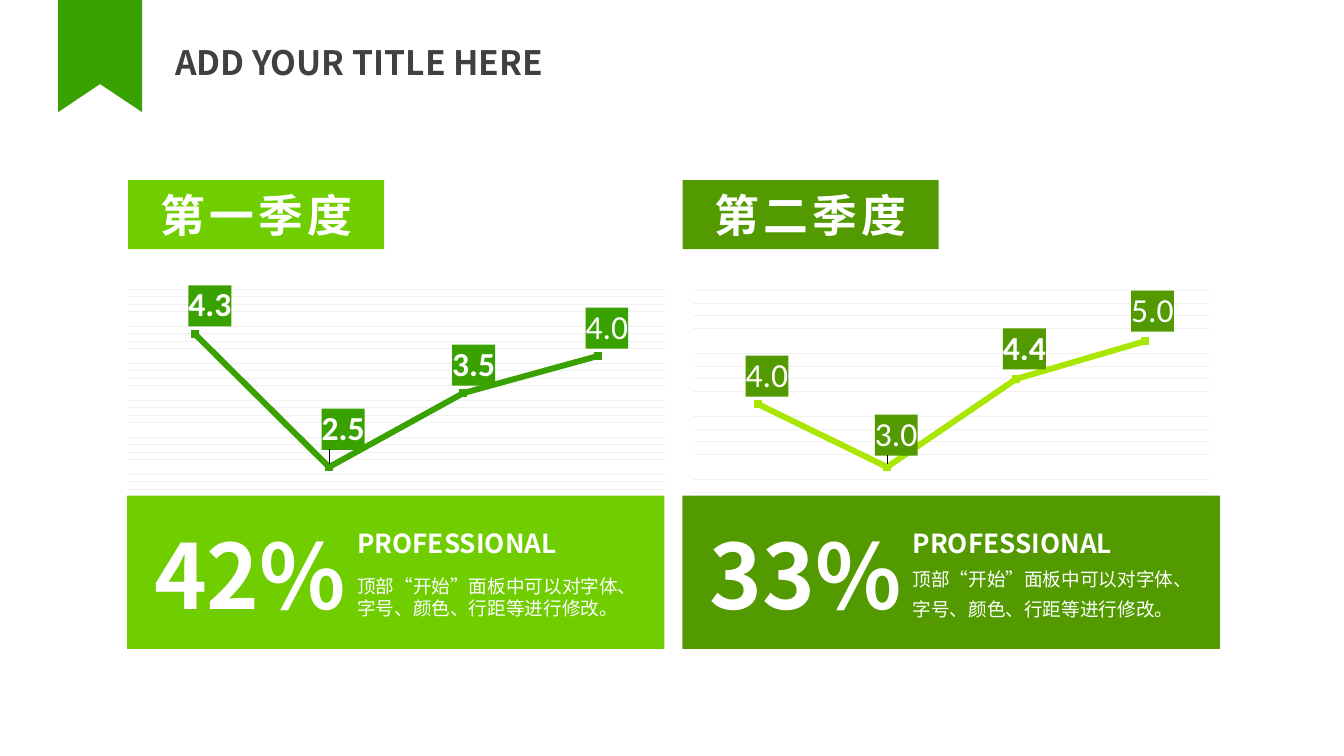
"""Build a slide comparing two quarters with line charts and captions."""
import lxml.etree
import pptx
import pptx.chart.data
import pptx.dml.color
import pptx.enum.chart
import pptx.enum.shapes
import pptx.enum.text
import pptx.oxml
import pptx.oxml.ns
import pptx.util

EMU_PER_PX = 9080
FONT = "Noto Sans CJK SC"
CHART_FONT = "Calibri"
RGBColor = pptx.dml.color.RGBColor
GREEN = RGBColor(0x3A, 0xA2, 0x00)
LIGHT_GREEN = RGBColor(0x6F, 0xCD, 0x00)
DARK_GREEN = RGBColor(0x53, 0x9A, 0x00)
LIME = RGBColor(0xA9, 0xE6, 0x00)
GRID = RGBColor(0xF0, 0xF0, 0xF0)
GRAY = RGBColor(0x40, 0x40, 0x40)
WHITE = RGBColor(0xFF, 0xFF, 0xFF)
BODY = "顶部“开始”面板中可以对字体、字号、颜色、行距等进行修改。"
CHART_WIDTH, CHART_HEIGHT = 538, 393

QUARTERS = [
    {
        "left": 127, "name": "第一季度", "tag_left": 128, "color": LIGHT_GREEN,
        "percent": "42%", "body_box": (569, 78), "body_spacing": pptx.util.Pt(16),
        "values": (4.3, 2.5, 3.5, 4.0), "bold": (True, True, True, False),
        "line": GREEN, "label_fill": GREEN, "maximum": 5, "major": 0.5,
        "plot": (0, 0.03, 1, 0.94),
        "shifts": ((15, 0), (14, -10), (10, 0), (9, 0)),
    },
    {
        "left": 682, "name": "第二季度", "tag_left": 682, "color": DARK_GREEN,
        "percent": "33%", "body_box": (556, 99), "body_spacing": 1.3,
        "values": (4.0, 3.0, 4.4, 5.0), "bold": (False, False, True, False),
        "line": LIME, "label_fill": DARK_GREEN, "maximum": 6, "major": 1,
        "plot": (0.02, 0.02, 0.96, 0.96),
        "shifts": ((9, 0), (9, -4), (8, -2), (7, -2)),
    },
]


def px(*lengths):
    """Convert pixel lengths to EMU."""
    return [pptx.util.Emu(length * EMU_PER_PX) for length in lengths]


def format_text(text_frame, size, color, bold=False, tracking=None):
    """Format every run of a text frame."""
    for paragraph in text_frame.paragraphs:
        for run in paragraph.runs:
            run.font.size = pptx.util.Pt(size)
            run.font.bold = bold
            run.font.name = FONT
            run.font.color.rgb = color
            properties = run.font._element
            east_asian = lxml.etree.SubElement(properties, pptx.oxml.ns.qn("a:ea"))
            east_asian.set("typeface", FONT)
            if tracking:
                properties.set("spc", str(tracking * 100))


def paint(shape, color):
    """Give a shape a plain fill without outline or shadow."""
    shape.shadow.inherit = False
    shape.fill.solid()
    shape.fill.fore_color.rgb = color
    shape.line.fill.background()


def add_ribbon(slide):
    """Draw the notched ribbon at the top edge."""
    builder = slide.shapes.build_freeform(58, 0, scale=EMU_PER_PX)
    builder.add_line_segments([(142, 0), (142, 112), (100, 84), (58, 112)])
    paint(builder.convert_to_shape(), GREEN)


def add_box(slide, bounds, color):
    """Add a filled rectangle."""
    shape = slide.shapes.add_shape(
        pptx.enum.shapes.MSO_SHAPE.RECTANGLE, *px(*bounds))
    paint(shape, color)
    return shape


def add_text(slide, bounds, text, size, color=WHITE, bold=True, wrap=False):
    """Add a text box and return its text frame."""
    text_frame = slide.shapes.add_textbox(*px(*bounds)).text_frame
    text_frame.word_wrap = wrap
    text_frame.auto_size = pptx.enum.text.MSO_AUTO_SIZE.SHAPE_TO_FIT_TEXT
    text_frame.text = text
    format_text(text_frame, size, color, bold)
    return text_frame


def add_title(slide):
    """Add the slide title."""
    text_frame = add_text(
        slide, (165, 30, 419, 69), "ADD YOUR TITLE HERE", 24, GRAY, wrap=True)
    text_frame.auto_size = pptx.enum.text.MSO_AUTO_SIZE.NONE
    text_frame.vertical_anchor = pptx.enum.text.MSO_ANCHOR.MIDDLE
    text_frame.paragraphs[0].line_spacing = 0.9
    text_frame.paragraphs[0].space_before = pptx.util.Pt(10)


def add_tag(slide, bounds, text, color):
    """Add a quarter heading."""
    text_frame = add_box(slide, bounds, color).text_frame
    text_frame.text = text
    text_frame.vertical_anchor = pptx.enum.text.MSO_ANCHOR.MIDDLE
    text_frame.paragraphs[0].alignment = pptx.enum.text.PP_ALIGN.CENTER
    format_text(text_frame, 32, WHITE, True, tracking=3)


def make_layout(**settings):
    """Build a manual chart layout element."""
    children = "".join(
        f'<c:{name} val="{value}"/>' for name, value in settings.items())
    return pptx.oxml.parse_xml(
        f'<c:layout {pptx.oxml.ns.nsdecls("c")}>'
        f"<c:manualLayout>{children}</c:manualLayout></c:layout>")


def set_plot_layout(chart, plot):
    """Fix the inner plot area as fractions of the chart."""
    area = chart._chartSpace.xpath("c:chart/c:plotArea")[0]
    for layout in area.xpath("c:layout"):
        area.remove(layout)
    left, top, width, height = plot
    area.insert(0, make_layout(
        layoutTarget="inner", xMode="edge", yMode="edge",
        x=left, y=top, w=width, h=height))


def style_axes(chart, maximum, major):
    """Hide the axes and keep only minor gridlines."""
    chart.category_axis.visible = False
    axis = chart.value_axis
    axis.visible = False
    axis.minimum_scale, axis.maximum_scale = 0, maximum
    axis.major_unit, axis.minor_unit = major, major / 5
    axis.has_major_gridlines = False
    axis.has_minor_gridlines = True
    gridlines = axis._element.xpath("c:minorGridlines")[0]
    gridlines.append(pptx.oxml.parse_xml(
        f'<c:spPr {pptx.oxml.ns.nsdecls("c", "a")}><a:ln w="9525"><a:solidFill>'
        f'<a:srgbClr val="{GRID}"/></a:solidFill></a:ln></c:spPr>'))


def style_label_font(font, bold):
    """Format the font of data labels."""
    font.size = pptx.util.Pt(24)
    font.bold = bold
    font.name = CHART_FONT
    font.color.rgb = WHITE


def label_points(series, quarter):
    """Place a filled value label near each point."""
    above = pptx.enum.chart.XL_LABEL_POSITION.ABOVE
    labels = series.data_labels
    labels.show_value = True
    labels.number_format = "0.0"
    labels.number_format_is_linked = False
    labels.position = above
    style_label_font(labels.font, True)
    for index, bold in enumerate(quarter["bold"]):
        label = series.points[index].data_label
        style_label_font(label.font, bold)
        label.position = above
    namespaces = pptx.oxml.ns.nsdecls("c", "a")
    elements = series._element.xpath("c:dLbls/c:dLbl")
    for element, (right, down) in zip(elements, quarter["shifts"]):
        for old in element.xpath("c:layout | c:numFmt | c:spPr"):
            element.remove(old)
        element.insert(1, make_layout(
            x=round(right / CHART_WIDTH, 3), y=round(down / CHART_HEIGHT, 3)))
        element.insert(2, pptx.oxml.parse_xml(
            f'<c:numFmt {namespaces} formatCode="0.0" sourceLinked="0"/>'))
        element.insert(3, pptx.oxml.parse_xml(
            f"<c:spPr {namespaces}><a:solidFill>"
            f'<a:srgbClr val="{quarter["label_fill"]}"/>'
            "</a:solidFill></c:spPr>"))


def add_line_chart(slide, quarter):
    """Add the line chart of a quarter."""
    data = pptx.chart.data.CategoryChartData(number_format="0.0")
    data.categories = ["1", "2", "3", "4"]
    data.add_series("Series 1", quarter["values"])
    chart = slide.shapes.add_chart(
        pptx.enum.chart.XL_CHART_TYPE.LINE_MARKERS,
        *px(quarter["left"], 270, CHART_WIDTH, CHART_HEIGHT), data).chart
    chart.has_title = chart.has_legend = False
    chart.font.size = pptx.util.Pt(10)
    chart.font.name = CHART_FONT
    chart.font.color.rgb = WHITE
    style_axes(chart, quarter["maximum"], quarter["major"])
    set_plot_layout(chart, quarter["plot"])
    chart.plots[0].vary_by_categories = False
    series = chart.plots[0].series[0]
    series.smooth = False
    series.format.line.color.rgb = quarter["line"]
    series.format.line.width = pptx.util.Pt(4.25)
    series.marker.style = pptx.enum.chart.XL_MARKER_STYLE.SQUARE
    series.marker.size = 5
    for part in (series.marker.format.fill, series.marker.format.line.fill):
        part.solid()
        part.fore_color.rgb = quarter["line"]
    label_points(series, quarter)


def add_quarter(slide, quarter):
    """Add the chart, caption panel and heading of a quarter."""
    left, color = quarter["left"], quarter["color"]
    add_line_chart(slide, quarter)
    add_box(slide, (left, 495, 537, 153), color)
    add_text(slide, (left + 17, 514, 217, 119), quarter["percent"], 64)
    add_text(slide, (left + 220, 522, 226, 42), "PROFESSIONAL", 18.7)
    top, height = quarter["body_box"]
    body = add_text(
        slide, (left + 220, top, 299, height), BODY, 13.3, bold=False, wrap=True)
    body.paragraphs[0].line_spacing = quarter["body_spacing"]
    add_tag(slide, (quarter["tag_left"], 180, 256, 69), quarter["name"], color)


def main():
    """Create and save the presentation."""
    presentation = pptx.Presentation()
    presentation.slide_width, presentation.slide_height = px(1343, 755)
    slide = presentation.slides.add_slide(presentation.slide_layouts[6])
    add_ribbon(slide)
    add_title(slide)
    for quarter in QUARTERS:
        add_quarter(slide, quarter)
    presentation.save("out.pptx")


if __name__ == "__main__":
    main()
